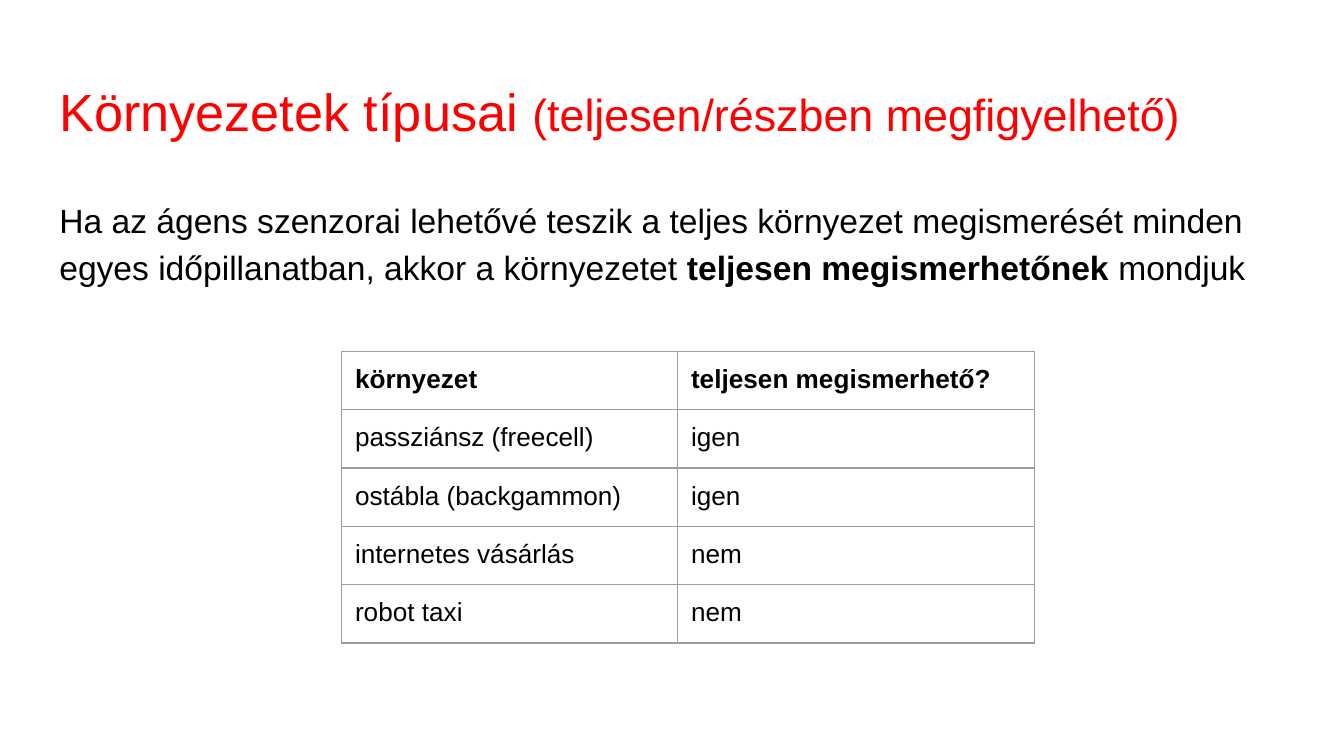
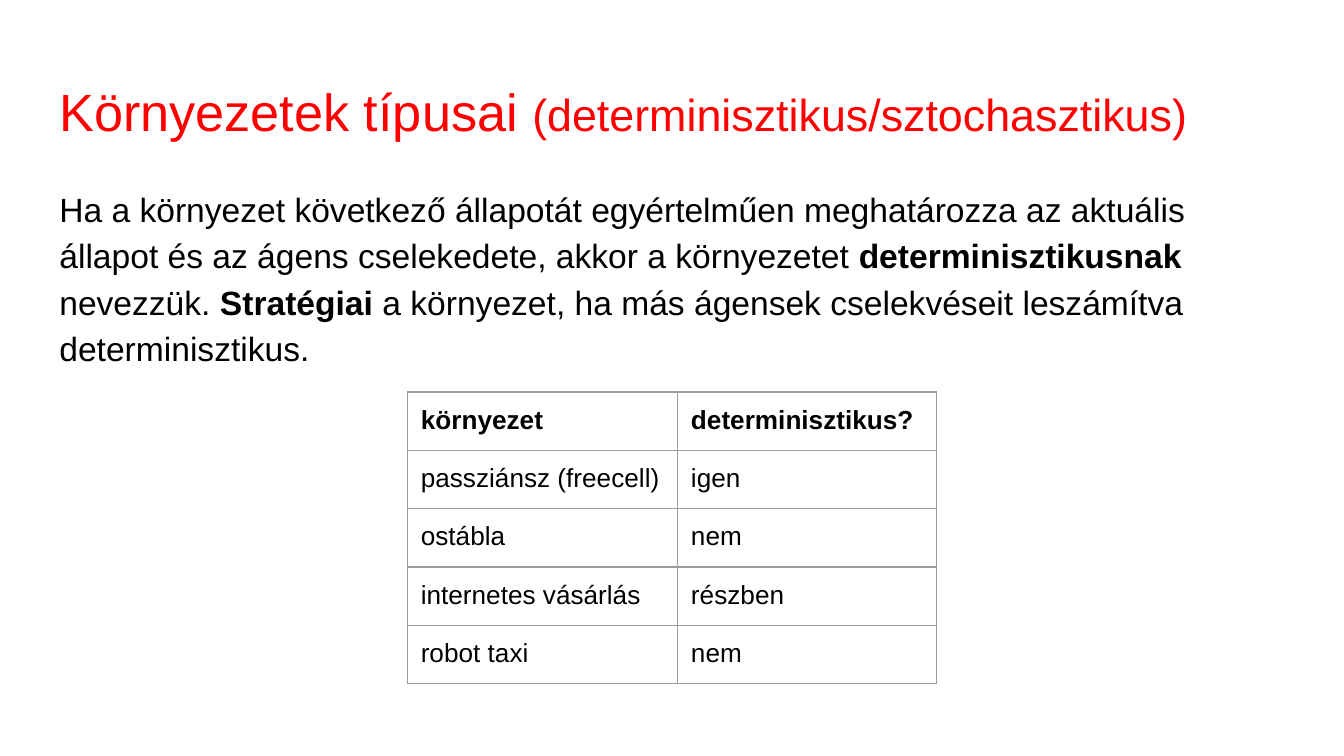
from lxml import etree
from pptx import Presentation
from pptx import util as u
from pptx.dml.color import RGBColor
from pptx.enum import text
from pptx.oxml.ns import qn

PX = 9525  # EMU; 96 px to the inch
SLIDE_SIZE = (960, 540)
FONT = "Arial"
COLORS = {"title": "FF0000", "text": "000000", "border": "9E9E9E"}
MARGIN, TEXT_WIDTH = 33, 895
TITLE_TOP, TITLE_HEIGHT, BODY_HEIGHT = 47, 60, 359
ROW_HEIGHT = 40
INSET = u.Inches(0.1)
BORDER_WIDTH = u.Pt(0.75)
TITLE = "Környezetek típusai "

# Body runs are (wording, bold).
SLIDES = [
    {
        "subtitle": "(teljesen/részben megfigyelhető)",
        "body_top": 129,
        "body": [
            ("Ha az ágens szenzorai lehetővé teszik a teljes környezet megismerését "
             "minden egyes időpillanatban, akkor a környezetet ", False),
            ("teljesen megismerhetőnek", True),
            (" mondjuk", False),
        ],
        "table_at": (244, 251),
        "columns": (240, 255),
        "rows": [
            ("környezet", "teljesen megismerhető?"),
            ("passziánsz (freecell)", "igen"),
            ("ostábla (backgammon)", "igen"),
            ("internetes vásárlás", "nem"),
            ("robot taxi", "nem"),
        ],
    },
    {
        "subtitle": "(determinisztikus/sztochasztikus)",
        "body_top": 121,
        "body": [
            ("Ha a környezet következő állapotát egyértelműen meghatározza az aktuális "
             "állapot és az ágens cselekedete, akkor a környezetet ", False),
            ("determinisztikusnak", True),
            (" nevezzük. ", False),
            ("Stratégiai", True),
            (" a környezet, ha más ágensek cselekvéseit leszámítva determinisztikus.", False),
        ],
        "table_at": (291, 280),
        "columns": (193, 185),
        "rows": [
            ("környezet", "determinisztikus?"),
            ("passziánsz (freecell)", "igen"),
            ("ostábla", "nem"),
            ("internetes vásárlás", "részben"),
            ("robot taxi", "nem"),
        ],
    },
]


def add_run(paragraph, wording, color, size, bold=False):
    run = paragraph.add_run()
    run.text = wording
    run.font.name = FONT
    run.font.size = u.Pt(size)
    run.font.bold = bold
    run.font.color.rgb = RGBColor.from_string(COLORS[color])


def set_insets(target):
    """Give a text frame or a table cell the same inset on every side."""
    target.margin_left = target.margin_right = INSET
    target.margin_top = target.margin_bottom = INSET


def add_text_block(slide, top, height):
    """Add a full-width text box and return its first paragraph."""
    box = slide.shapes.add_textbox(MARGIN * PX, top * PX, TEXT_WIDTH * PX, height * PX)
    frame = box.text_frame
    frame.word_wrap = True
    frame.vertical_anchor = text.MSO_ANCHOR.TOP
    set_insets(frame)
    return frame.paragraphs[0]


def add_title(slide, subtitle):
    paragraph = add_text_block(slide, TITLE_TOP, TITLE_HEIGHT)
    add_run(paragraph, TITLE, "title", 28)
    add_run(paragraph, subtitle, "title", 24)


def add_body(slide, top, runs):
    paragraph = add_text_block(slide, top, BODY_HEIGHT)
    paragraph.line_spacing = 1.15
    for wording, bold in runs:
        add_run(paragraph, wording, "text", 18, bold)


def add_borders(cell):
    properties = cell._tc.get_or_add_tcPr()
    for side in ("lnL", "lnR", "lnT", "lnB"):
        line = etree.SubElement(properties, qn(f"a:{side}"), w=str(BORDER_WIDTH))
        fill = etree.SubElement(line, qn("a:solidFill"))
        etree.SubElement(fill, qn("a:srgbClr"), val=COLORS["border"])


def add_table(slide, position, columns, rows):
    left, top = position
    table = slide.shapes.add_table(
        len(rows), len(columns), left * PX, top * PX,
        sum(columns) * PX, len(rows) * ROW_HEIGHT * PX).table
    table.first_row = table.horz_banding = False
    for column, width in zip(table.columns, columns):
        column.width = width * PX
    for row_index, row in enumerate(rows):
        for column_index, wording in enumerate(row):
            cell = table.cell(row_index, column_index)
            add_run(cell.text_frame.paragraphs[0], wording, "text", 14, row_index == 0)
            set_insets(cell)
            add_borders(cell)
            cell.fill.background()


def main():
    presentation = Presentation()
    presentation.slide_width, presentation.slide_height = (side * PX for side in SLIDE_SIZE)
    blank = presentation.slide_layouts[6]
    for content in SLIDES:
        slide = presentation.slides.add_slide(blank)
        add_title(slide, content["subtitle"])
        add_body(slide, content["body_top"], content["body"])
        add_table(slide, content["table_at"], content["columns"], content["rows"])
    presentation.save("out.pptx")


if __name__ == "__main__":
    main()
